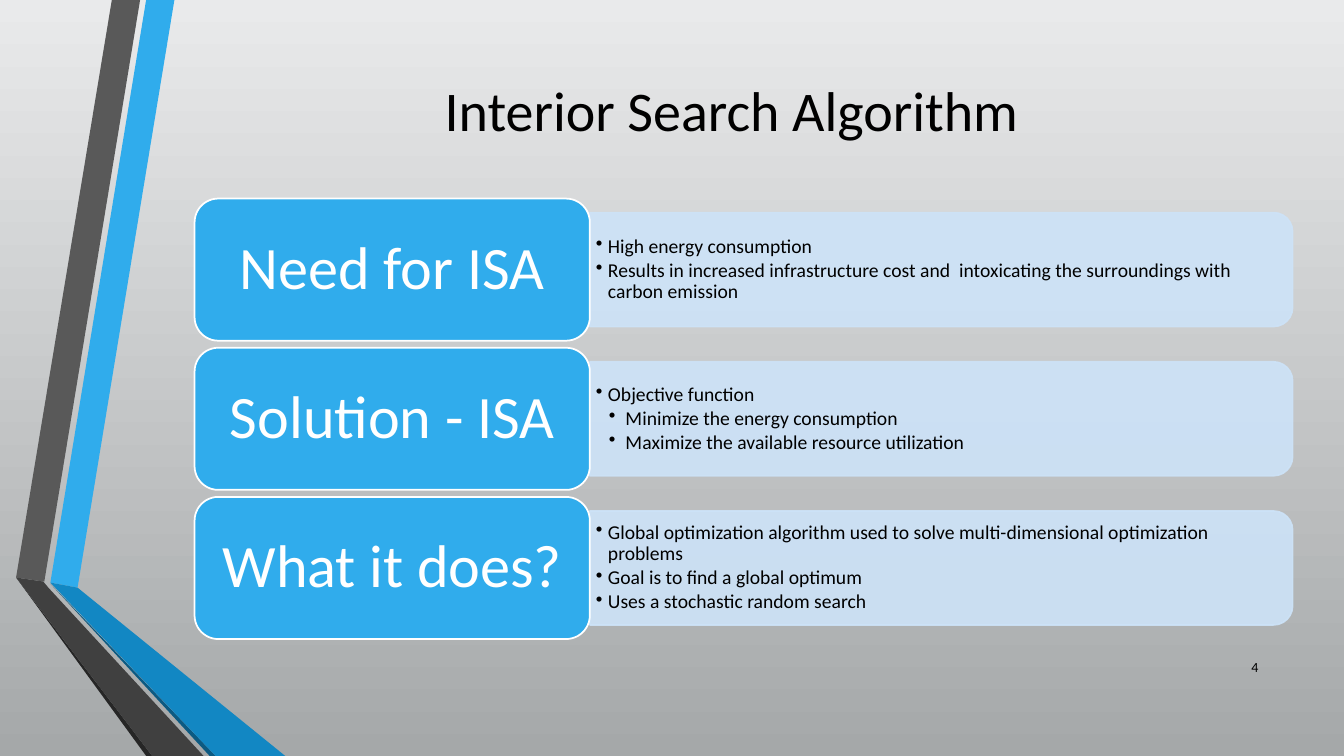
from dataclasses import dataclass

from lxml import etree
from pptx import Presentation
from pptx import util as u
from pptx.dml.color import RGBColor
from pptx.enum import shapes, text
from pptx.oxml import ns

EMU_PER_PX = 9144  # 100 px to the inch


@dataclass(frozen=True)
class Theme:
    font: str = "Calibri"
    ink: str = "000000"
    white: str = "FFFFFF"
    accent: str = "30ACEC"
    panel: str = "CDE3F8"
    panel_alpha: int = 90
    background: tuple[str, str] = ("E9EAEB", "A5A8A9")
    title_size: int = 40
    label_size: int = 43
    bullet_size: int = 14
    number_size: int = 10
    outline: float = 1.25


@dataclass(frozen=True)
class Box:
    left: int
    top: int
    width: int
    height: int

    def emu(self) -> list[int]:
        return [px(v) for v in (self.left, self.top, self.width, self.height)]


@dataclass(frozen=True)
class Ribbon:
    color: str
    points: tuple[tuple[int, int], ...]


@dataclass(frozen=True)
class Bullet:
    words: str
    level: int = 1


@dataclass(frozen=True)
class Topic:
    label: str
    bullets: tuple[Bullet, ...]


THEME = Theme()
ROW_TOP, ROW_PITCH = 197, 148
BULLET_HANG = 12
BULLET_INDENT = {1: 12, 2: 25}

RIBBONS = (
    Ribbon("30ACEC", ((50, 578), (77, 583), (173, 0), (145, 0))),
    Ribbon("595959", ((139, 0), (111, 0), (16, 573), (44, 577))),
    Ribbon("262626", ((16, 573), (145, 750), (151, 750))),
    Ribbon("0C5A82", ((50, 579), (208, 750), (214, 750))),
    Ribbon("1287C3", ((50, 578), (214, 750), (283, 750), (77, 583))),
    Ribbon("404040", ((202, 750), (48, 583), (43, 577), (16, 573), (151, 750))),
)

TOPICS = (
    Topic("Need for ISA", (
        Bullet("High energy consumption"),
        Bullet("Results in increased infrastructure cost and  intoxicating "
               "the surroundings with carbon emission"),
    )),
    Topic("Solution - ISA", (
        Bullet("Objective function"),
        Bullet(" Minimize the energy consumption", 2),
        Bullet(" Maximize the available resource utilization", 2),
    )),
    Topic("What it does?", (
        Bullet("Global optimization algorithm used to solve "
               "multi-dimensional optimization problems"),
        Bullet("Goal is to find a global optimum"),
        Bullet("Uses a stochastic random search"),
    )),
)


def px(value: int) -> int:
    return value * EMU_PER_PX


def apply(target, values: dict) -> None:
    for name, value in values.items():
        setattr(target, name, value)


def paint(shape, fill: str, line: str | None = None) -> None:
    shape.shadow.inherit = False
    shape.fill.solid()
    shape.fill.fore_color.rgb = RGBColor.from_string(fill)
    if line is None:
        shape.line.fill.background()
    else:
        shape.line.color.rgb = RGBColor.from_string(line)
        shape.line.width = u.Pt(THEME.outline)


def set_frame(shape, side: int, edge: int):
    frame = shape.text_frame
    apply(frame, {
        "word_wrap": True, "vertical_anchor": text.MSO_ANCHOR.MIDDLE,
        "margin_left": px(side), "margin_right": px(side),
        "margin_top": px(edge), "margin_bottom": px(edge),
    })
    return frame


def write(paragraph, words: str, size: int, color: str, **layout) -> None:
    paragraph.text = words
    apply(paragraph, layout)
    apply(paragraph.font, {"name": THEME.font, "size": u.Pt(size)})
    paragraph.font.color.rgb = RGBColor.from_string(color)


def add_line(slide, box: Box, words: str, size: int, alignment) -> None:
    frame = set_frame(slide.shapes.add_textbox(*box.emu()), 10, 5)
    write(frame.paragraphs[0], words, size, THEME.ink, alignment=alignment)


def add_ribbon(slide, ribbon: Ribbon) -> None:
    builder = slide.shapes.build_freeform(*ribbon.points[0], scale=EMU_PER_PX)
    builder.add_line_segments(ribbon.points[1:], close=True)
    paint(builder.convert_to_shape(), ribbon.color)


def add_panel(slide, box: Box) -> None:
    # A quarter turn swaps the sides around the same centre
    shift = (box.width - box.height) // 2
    upright = Box(box.left + shift, box.top - shift, box.height, box.width)
    panel = slide.shapes.add_shape(
        shapes.MSO_SHAPE.ROUND_2_SAME_RECTANGLE, *upright.emu())
    panel.rotation = 90
    paint(panel, THEME.panel, THEME.panel)
    for color in panel.element.spPr.iter(ns.qn("a:srgbClr")):
        alpha = etree.SubElement(color, ns.qn("a:alpha"))
        alpha.set("val", str(THEME.panel_alpha * 1000))


def add_bullets(slide, box: Box, bullets: tuple[Bullet, ...]) -> None:
    frame = set_frame(slide.shapes.add_textbox(*box.emu()), 6, 3)
    for index, bullet in enumerate(bullets):
        paragraph = frame.add_paragraph() if index else frame.paragraphs[0]
        properties = paragraph._p.get_or_add_pPr()
        properties.set("marL", str(px(BULLET_INDENT[bullet.level])))
        properties.set("indent", str(-px(BULLET_HANG)))
        etree.SubElement(properties, ns.qn("a:buChar")).set("char", "•")
        write(paragraph, bullet.words, THEME.bullet_size, THEME.ink,
              level=bullet.level, line_spacing=0.9, space_after=u.Pt(2))


def add_label(slide, box: Box, words: str) -> None:
    label = slide.shapes.add_shape(
        shapes.MSO_SHAPE.ROUNDED_RECTANGLE, *box.emu())
    paint(label, THEME.accent, THEME.white)
    frame = set_frame(label, 18, 9)
    write(frame.paragraphs[0], words, THEME.label_size, THEME.white,
          alignment=text.PP_ALIGN.CENTER, line_spacing=0.9)


def add_topic(slide, topic: Topic, top: int) -> None:
    add_panel(slide, Box(585, top + 14, 697, 113))
    add_bullets(slide, Box(585, top + 20, 691, 101), topic.bullets)
    add_label(slide, Box(193, top, 392, 141), topic.label)


def main() -> None:
    presentation = Presentation()
    apply(presentation, {"slide_width": px(1333), "slide_height": px(750)})
    slide = presentation.slides.add_slide(presentation.slide_layouts[6])

    # Background, light at the top
    fill = slide.background.fill
    fill.gradient()
    fill.gradient_angle = 270
    for stop, color in zip(fill.gradient_stops, THEME.background):
        stop.color.rgb = RGBColor.from_string(color)

    # Folded ribbons on the left
    for ribbon in RIBBONS:
        add_ribbon(slide, ribbon)

    # Title
    add_line(slide, Box(193, 69, 1065, 78), "Interior Search Algorithm",
             THEME.title_size, text.PP_ALIGN.CENTER)

    # Topic rows
    for row, topic in enumerate(TOPICS):
        add_topic(slide, topic, ROW_TOP + row * ROW_PITCH)

    # Slide number
    add_line(slide, Box(1198, 642, 60, 40), "4",
             THEME.number_size, text.PP_ALIGN.RIGHT)

    presentation.save("out.pptx")


if __name__ == "__main__":
    main()
